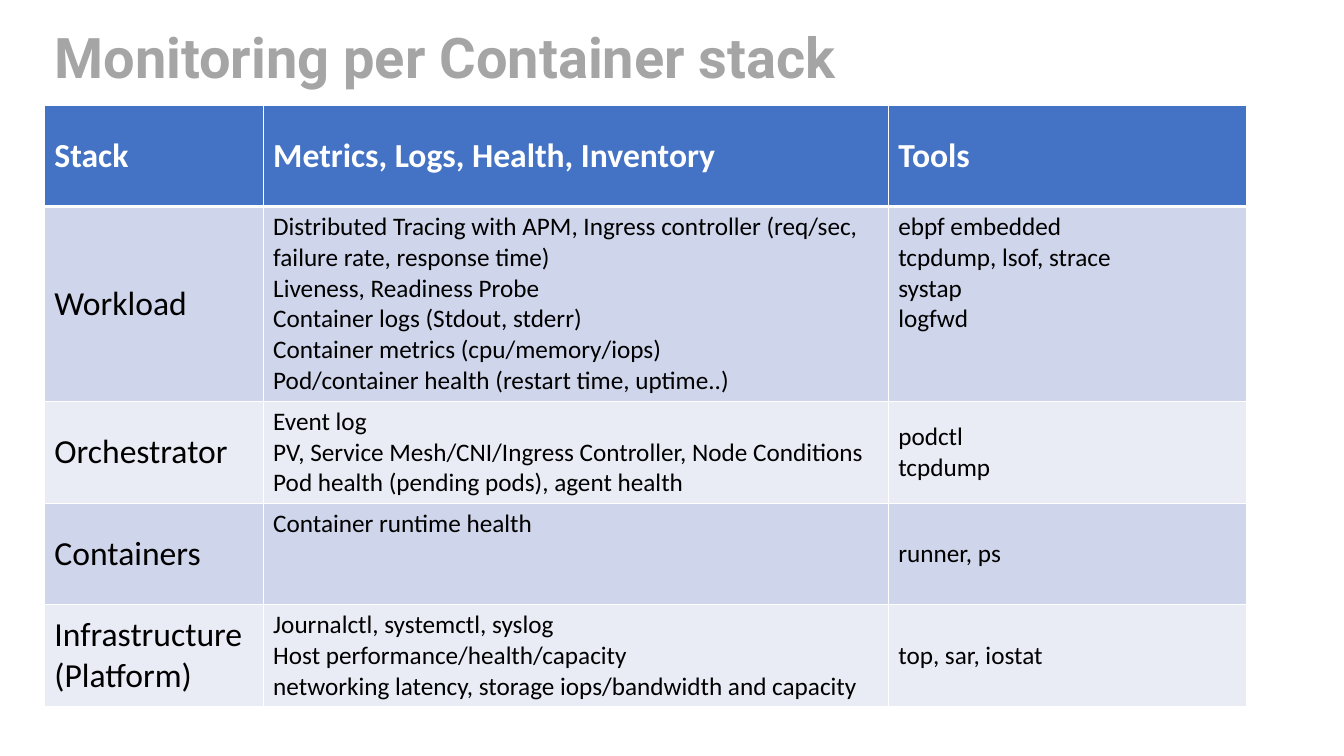
from lxml.etree import SubElement as Sub
from pptx import Presentation
from pptx.dml.color import RGBColor
from pptx.enum.text import MSO_ANCHOR as Anchor, MSO_AUTO_SIZE as Fit, PP_ALIGN as Align
from pptx.oxml.ns import qn
from pptx.util import Inches, Pt

WHITE = RGBColor(0xFF, 0xFF, 0xFF)
BLACK = RGBColor(0, 0, 0)
GRAY = RGBColor(0xA5, 0xA5, 0xA5)
BLUE = RGBColor(0x44, 0x72, 0xC4)
BANDS = [RGBColor(0xCF, 0xD5, 0xEA), RGBColor(0xE9, 0xEB, 0xF5)]

TITLE = "Monitoring per Container stack"
WIDTHS = [2.17, 6.2, 3.55]
HEIGHTS = [1, 1.9, 1, 1, 1]
ROWS = [
    [["Stack"], ["Metrics, Logs, Health, Inventory"], ["Tools"]],
    [["Workload"],
     ["Distributed Tracing with APM, Ingress controller (req/sec, failure rate, response time)",
      "Liveness, Readiness Probe",
      "Container logs (Stdout, stderr)",
      "Container metrics (cpu/memory/iops)",
      "Pod/container health (restart time, uptime..)"],
     ["ebpf embedded", "tcpdump, lsof, strace", "systap", "logfwd"]],
    [["Orchestrator"],
     ["Event log",
      "PV, Service Mesh/CNI/Ingress Controller, Node Conditions",
      "Pod health (pending pods), agent health"],
     ["podctl", "tcpdump"]],
    [["Containers"], ["Container runtime health"], ["runner, ps"]],
    [["Infrastructure", "(Platform)"],
     ["Journalctl, systemctl, syslog",
      "Host performance/health/capacity",
      "networking latency, storage iops/bandwidth and capacity"],
     ["top, sar, iostat"]],
]


def add_run(para, text, face, size, color, bold=False):
    """Add one formatted run to a paragraph."""
    run = para.add_run()
    run.text = text
    font = run.font
    font.name, font.size, font.bold = face, Pt(size), bold
    font.color.rgb = color


def set_title(slide, text):
    """Place and format the slide title."""
    title = slide.shapes.title
    title.left, title.top = Inches(0.44), Inches(0.25)
    title.width, title.height = Inches(12.46), Inches(0.73)
    frame = title.text_frame
    frame.auto_size, frame.word_wrap = Fit.NONE, True
    frame.vertical_anchor = Anchor.TOP
    para = frame.paragraphs[0]
    para.alignment, para.line_spacing = Align.LEFT, 0.9
    add_run(para, text, "Roboto", 40, GRAY, True)


def add_edges(cell, base):
    """Draw white cell borders with the given bottom width."""
    props = cell._tc.get_or_add_tcPr()
    widths = {"a:lnL": 1, "a:lnR": 1, "a:lnT": 1, "a:lnB": base}
    for tag, width in widths.items():
        line = Sub(props, qn(tag), w=str(Pt(width)))
        fill = Sub(line, qn("a:solidFill"))
        Sub(fill, qn("a:srgbClr"), val=str(WHITE))


def fill_cell(cell, lines, fill, size, color, bold, anchor):
    """Write the lines of a cell and style it."""
    add_edges(cell, 3 if bold else 1)
    cell.fill.solid()
    cell.fill.fore_color.rgb = fill
    cell.vertical_anchor = anchor
    frame = cell.text_frame
    for i, text in enumerate(lines):
        para = frame.add_paragraph() if i else frame.paragraphs[0]
        add_run(para, text, "Calibri", size, color, bold)


def add_grid(slide):
    """Add the table of stacks, metrics and tools."""
    frame = slide.shapes.add_table(len(ROWS), len(WIDTHS), Inches(0.44), Inches(1.05),
                                   Inches(sum(WIDTHS)), Inches(sum(HEIGHTS)))
    table = frame.table
    for col, width in zip(table.columns, WIDTHS):
        col.width = Inches(width)
    for r, (row, height) in enumerate(zip(ROWS, HEIGHTS)):
        table.rows[r].height = Inches(height)
        head = r == 0
        fill = BLUE if head else BANDS[(r - 1) % 2]
        for c, lines in enumerate(row):
            high = not head and (c == 1 or (r, c) == (1, 2))
            fill_cell(table.cell(r, c), lines, fill,
                      24 if head or c == 0 else 18,
                      WHITE if head else BLACK, head,
                      Anchor.TOP if high else Anchor.MIDDLE)


def main():
    """Build and save the slide."""
    deck = Presentation()
    deck.slide_width, deck.slide_height = Inches(13.33), Inches(7.5)
    slide = deck.slides.add_slide(deck.slide_layouts[5])
    set_title(slide, TITLE)
    add_grid(slide)
    deck.save("out.pptx")


if __name__ == "__main__":
    main()
